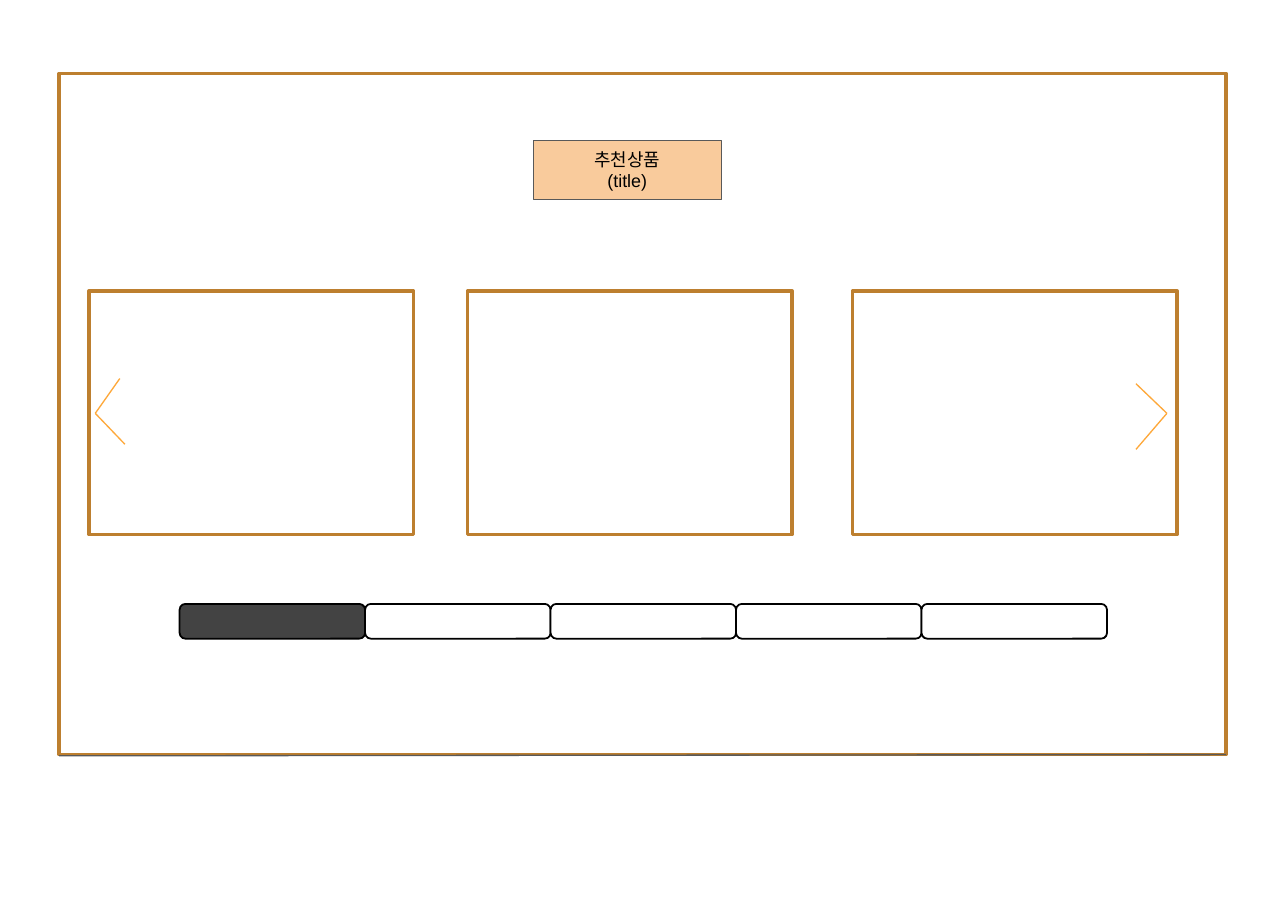
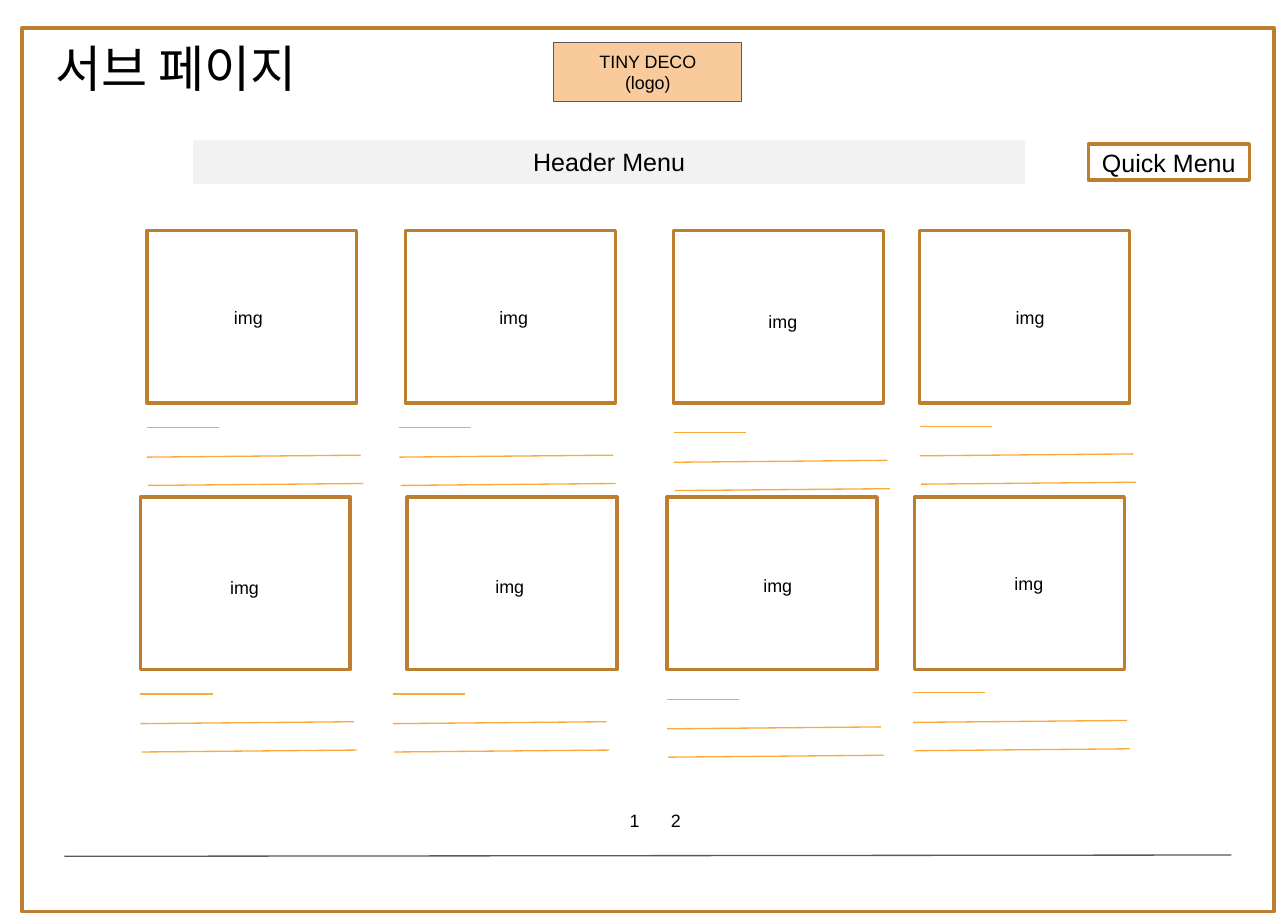
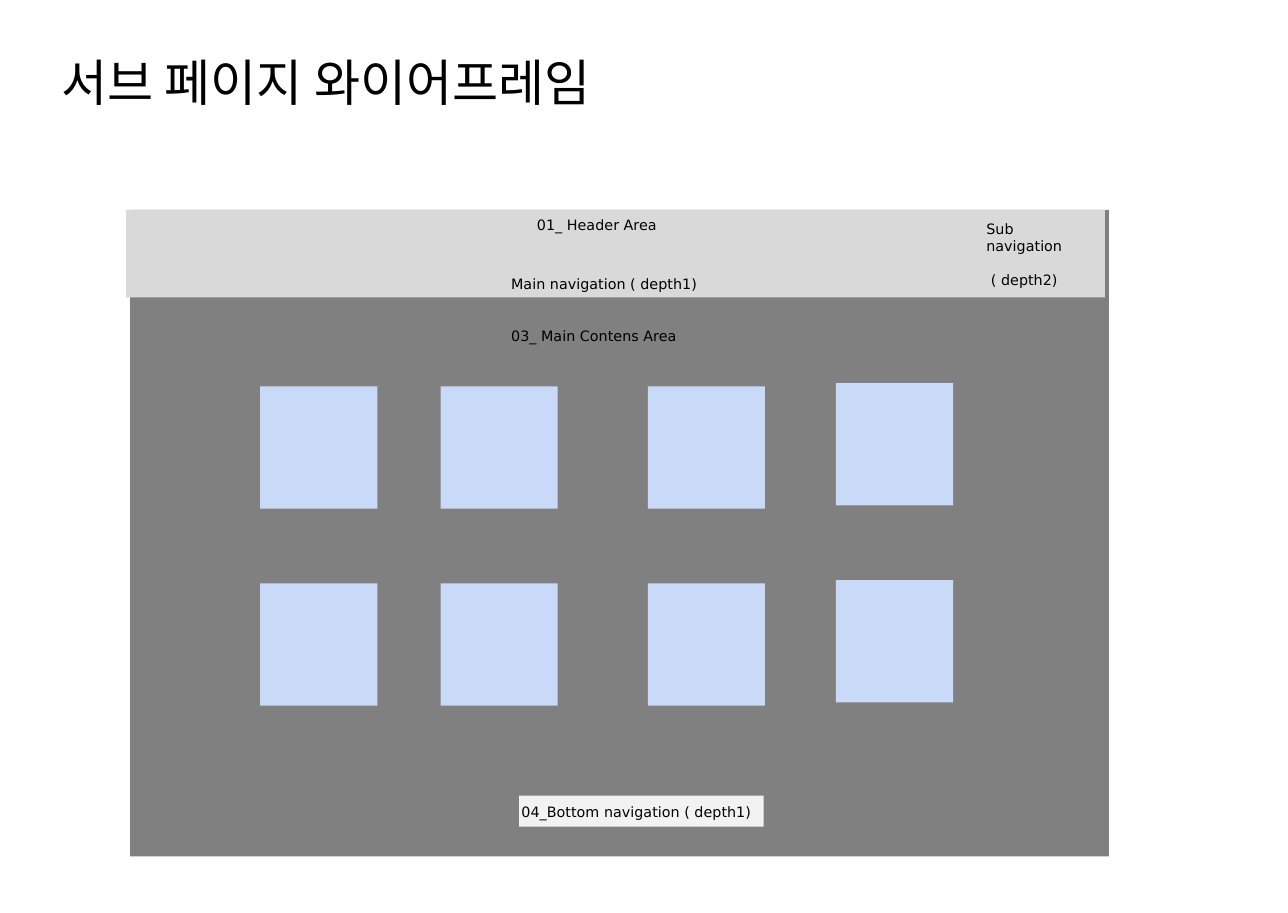
from typing import NamedTuple, Optional

import pptx
import pptx.dml.color
import pptx.enum.shapes
import pptx.enum.text
import pptx.oxml
import pptx.oxml.ns
import pptx.util

SHAPE = pptx.enum.shapes.MSO_SHAPE
ANCHOR = pptx.enum.text.MSO_ANCHOR
ALIGN = pptx.enum.text.PP_ALIGN

WIDTH = pptx.util.Inches(10)
HEIGHT = pptx.util.Inches(7.09)
CELL = WIDTH / 100  # square grid cell: all positions and sizes count cells

COLORS = {
    "frame": "BD7F2F",
    "stroke": "FEA83A",
    "rule": "595959",
    "badge": "F9CB9C",
    "white": "FFFFFF",
    "black": "000000",
    "active": "434343",
    "menu": "F2F2F2",
    "content": "808080",
    "header": "D9D9D9",
    "tile": "C9DAF8",
}
SANS = "Arial"
WIRE_FONT = "DejaVu Sans"
NARROW_INSET = (1, 0.5)
WIDE_INSET = (1, 1)


class Point(NamedTuple):
    x: float
    y: float

    def shifted(self, dx: float, dy: float) -> "Point":
        return Point(self.x + dx, self.y + dy)


class Box(NamedTuple):
    x: float
    y: float
    width: float
    height: float


class Stroke(NamedTuple):
    color: str
    points: float


class Product(NamedTuple):
    frame: Point
    caption: Point
    label: Point


class WireLabel(NamedTuple):
    box: Box
    text: str
    gap: float = 0


FRAME = Stroke("frame", 2)
THIN = Stroke("stroke", 0.75)
RULE = Stroke("rule", 0.75)
OUTLINE = Stroke("black", 1)


def cells(*counts: float) -> list[pptx.util.Emu]:
    return [pptx.util.Emu(round(count * CELL)) for count in counts]


def rgb(name: str) -> pptx.dml.color.RGBColor:
    return pptx.dml.color.RGBColor.from_string(COLORS[name])


def write(holder, text: str, *, size: float = 10, font: str = SANS,
          align=ALIGN.LEFT, anchor=ANCHOR.TOP, inset=NARROW_INSET,
          wrap: bool = True, gap: float = 0) -> None:
    """Fill a shape with one paragraph per line of text, gap points apart."""
    frame = holder.text_frame
    frame.word_wrap = wrap
    frame.vertical_anchor = anchor
    frame.margin_left, frame.margin_top = cells(*inset)
    frame.margin_right, frame.margin_bottom = cells(*inset)
    for index, line in enumerate(text.split("\n")):
        paragraph = frame.add_paragraph() if index else frame.paragraphs[0]
        paragraph.alignment = align
        if index and gap:
            paragraph.space_before = pptx.util.Pt(gap)
        run = paragraph.add_run()
        run.text = line
        run.font.size = pptx.util.Pt(size)
        run.font.name = font
        run.font.color.rgb = rgb("black")


def draw_box(slide, box: Box, fill: Optional[str] = None,
             stroke: Optional[Stroke] = None, preset=SHAPE.RECTANGLE):
    block = slide.shapes.add_shape(preset, *cells(*box))
    block.shadow.inherit = False
    if fill:
        block.fill.solid()
        block.fill.fore_color.rgb = rgb(fill)
    else:
        block.fill.background()
    if stroke:
        block.line.color.rgb = rgb(stroke.color)
        block.line.width = pptx.util.Pt(stroke.points)
    else:
        block.line.fill.background()
    return block


def draw_line(slide, start: Point, end: Point, stroke: Stroke) -> None:
    line = slide.shapes.add_connector(
        pptx.enum.shapes.MSO_CONNECTOR.STRAIGHT, *cells(*start, *end))
    line.line.color.rgb = rgb(stroke.color)
    line.line.width = pptx.util.Pt(stroke.points)
    properties = line._element.find(pptx.oxml.ns.qn("p:spPr"))
    properties.append(pptx.oxml.parse_xml(
        f"<a:effectLst {pptx.oxml.ns.nsdecls('a')}/>"))


def draw_text(slide, box: Box, text: str, **style) -> None:
    write(slide.shapes.add_textbox(*cells(*box)), text, **style)


def draw_title(slide, box: Box, text: str) -> None:
    draw_text(slide, box, text, size=28, inset=WIDE_INSET)


def draw_page_frame(slide, box: Box, rule_start: Point) -> None:
    """Page outline with the thin, slightly tilted rule near its foot."""
    draw_box(slide, box, stroke=FRAME)
    draw_line(slide, rule_start.shifted(90.6, -0.1), rule_start, RULE)


def draw_badge(slide, corner: Point, text: str) -> None:
    badge = draw_box(slide, Box(*corner, 14.6, 4.6), "badge", RULE)
    write(badge, text, align=ALIGN.CENTER, anchor=ANCHOR.MIDDLE, inset=WIDE_INSET)


def draw_product(slide, product: Product) -> None:
    draw_box(slide, Box(*product.frame, 16.3, 13.4), stroke=FRAME)
    draw_text(slide, Box(*product.label, 4.7, 2.7), " img", wrap=False)
    for start, end in (((0, 0), (5.6, 0)),
                       ((0, 2.3), (16.6, 2.15)),
                       ((0.1, 4.5), (16.8, 4.35))):
        draw_line(slide, product.caption.shifted(*start),
                  product.caption.shifted(*end), THIN)


def build_recommendations(slide) -> None:
    draw_page_frame(slide, Box(4.6, 5.7, 90.6, 52.9), Point(4.6, 58.7))
    draw_badge(slide, Point(41.4, 10.9), "추천상품\n(title)")
    for left in (6.9, 36.3, 66.2):
        draw_box(slide, Box(left, 22.6, 25.2, 18.9), "white", FRAME)

    previous_tip, next_tip = Point(7.4, 32.1), Point(90.6, 32.1)
    for tip, end in ((previous_tip, Point(9.3, 29.4)),
                     (previous_tip, Point(9.7, 34.5)),
                     (next_tip, Point(88.2, 29.8)),
                     (next_tip, Point(88.2, 34.9))):
        draw_line(slide, tip, end, THIN)

    tab_width = 14.4
    for index in range(5):
        tab = Box(13.95 + index * tab_width, 46.9, tab_width, 2.7)
        draw_box(slide, tab, "white" if index else "active", OUTLINE,
                 SHAPE.ROUNDED_RECTANGLE)


def build_sub_page(slide) -> None:
    draw_page_frame(slide, Box(1.7, 2.2, 97.2, 68.6), Point(5, 66.5))
    draw_badge(slide, Point(43, 3.3), "TINY DECO\n(logo)")
    header_menu = draw_box(slide, Box(15, 10.9, 64.6, 3.4), "menu")
    write(header_menu, "Header Menu", size=14, align=ALIGN.CENTER)
    quick_menu = draw_box(slide, Box(84.5, 11.2, 12.5, 2.8), stroke=FRAME)
    write(quick_menu, "Quick Menu", size=14, align=ALIGN.CENTER,
          anchor=ANCHOR.MIDDLE, wrap=False)

    captions = [Point(11.4, 33.2), Point(31, 33.2),
                Point(52.3, 33.6), Point(71.4, 33.1)]
    lower_captions = [caption.shifted(-0.5, 20.7) for caption in captions]
    rows = (
        (17.9, (11.4, 31.5, 52.3, 71.4), captions,
         ((16.8, 23.3), (37.4, 23.3), (58.3, 23.6), (77.5, 23.3))),
        (38.6, (10.9, 31.6, 51.8, 71), lower_captions,
         ((16.5, 44.3), (37.1, 44.2), (57.9, 44.1), (77.4, 44))),
    )
    for top, lefts, row_captions, labels in rows:
        for left, caption, label in zip(lefts, row_captions, labels):
            draw_product(slide, Product(Point(left, top), caption, Point(*label)))

    for left, page in ((47.9, "1"), (51.1, "2")):
        draw_text(slide, Box(left, 62.4, 2.8, 2.7), page, wrap=False)
    draw_title(slide, Box(3.3, 1.9, 50.5, 7.9), "서브 페이지")


def build_wireframe(slide) -> None:
    draw_title(slide, Box(3.8, 3, 48.1, 7.9), "서브 페이지 와이어프레임")
    for area, fill in ((Box(10.1, 16.3, 76, 50.2), "content"),
                       (Box(9.8, 16.3, 76, 6.8), "header"),
                       (Box(40.3, 61.8, 19, 2.4), "menu")):
        draw_box(slide, area, fill)

    for row_top in (30, 45.3):
        for left, lift in ((20.2, 0), (34.2, 0), (50.3, 0), (64.9, 0.25)):
            draw_box(slide, Box(left, row_top - lift, 9.1, 9.5), "tile")

    for label in (
        WireLabel(Box(40.7, 16.3, 14.2, 2.3), "01_ Header Area"),
        WireLabel(Box(38.7, 20.9, 18.1, 2.3), "Main navigation ( depth1)"),
        WireLabel(Box(75.6, 16.3, 9.1, 6.9), "Sub navigation\n ( depth2)", gap=9.4),
        WireLabel(Box(38.7, 24.9, 18.1, 2.3), "03_ Main Contens Area"),
        WireLabel(Box(39.5, 61.9, 19.9, 2.3), "04_Bottom navigation ( depth1)"),
    ):
        draw_text(slide, label.box, label.text, size=8, font=WIRE_FONT,
                  anchor=ANCHOR.MIDDLE, gap=label.gap)


def main() -> None:
    deck = pptx.Presentation()
    deck.slide_width, deck.slide_height = WIDTH, HEIGHT
    blank = deck.slide_layouts[6]
    for build in (build_recommendations, build_sub_page, build_wireframe):
        build(deck.slides.add_slide(blank))
    deck.save("out.pptx")


if __name__ == "__main__":
    main()
